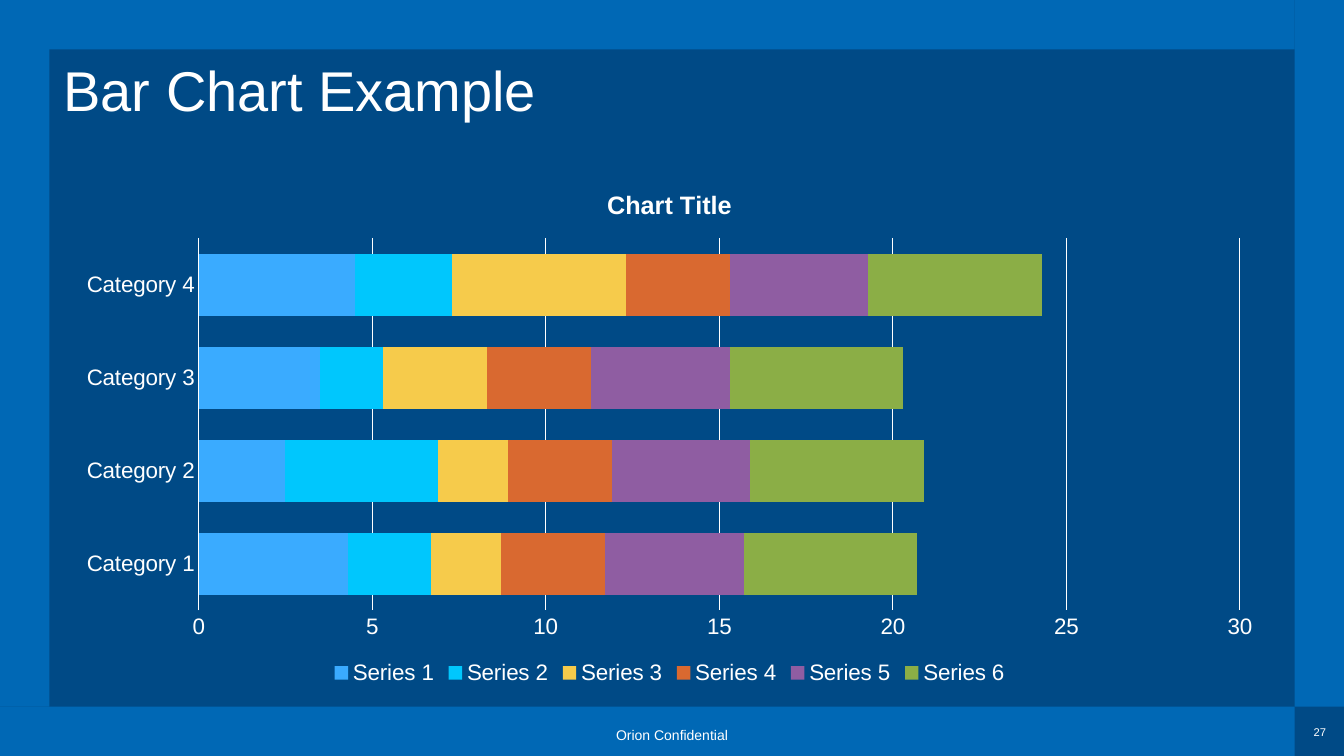
from pptx import Presentation
from pptx import util as u
from pptx.chart.data import CategoryChartData
from pptx.dml.color import RGBColor
from pptx.enum import chart as ch, shapes, text
from pptx.util import Inches

FONT, WHITE, NAVY, BLUE = "Arial", "FFFFFF", "004A86", "0068B5"
SLIDE_W, SLIDE_H, BAND = 13.33, 7.5, 0.49
CATEGORIES = [f"Category {n}" for n in range(1, 5)]
SERIES = [
    ("3AABFF", (4.3, 2.5, 3.5, 4.5)),
    ("00C7FD", (2.4, 4.4, 1.8, 2.8)),
    ("F6CB4B", (2, 2, 3, 5)),
    ("D96930", (3, 3, 3, 3)),
    ("8F5DA2", (4, 4, 4, 4)),
    ("8BAE46", (5, 5, 5, 5)),
]


def rgb(value):
    return RGBColor.from_string(value)


def style_font(font, size, bold=False):
    font.name, font.size, font.bold = FONT, u.Pt(size), bold
    font.color.rgb = rgb(WHITE)


def style_line(line):
    line.color.rgb = rgb(WHITE)
    line.width = u.Pt(0.75)


def add_text(s, box, content, size, align=text.PP_ALIGN.LEFT, spacing=1.0,
             anchor=text.MSO_ANCHOR.TOP):
    """Add a one-paragraph text box without insets."""
    tf = s.shapes.add_textbox(*map(Inches, box)).text_frame
    tf.word_wrap = True
    tf.vertical_anchor = anchor
    tf.margin_left = tf.margin_right = tf.margin_top = tf.margin_bottom = 0
    p = tf.paragraphs[0]
    p.alignment, p.line_spacing = align, spacing
    r = p.add_run()
    r.text = content
    style_font(r.font, size)


def add_frame(s, width, height):
    """Draw the four border bands, leaving the bottom right corner open."""
    right, bottom = width - BAND, height - BAND
    for box in ((0, bottom, right, BAND), (right, 0, BAND, bottom),
                (0, 0, right, BAND), (0, 0, BAND, bottom)):
        sp = s.shapes.add_shape(shapes.MSO_SHAPE.RECTANGLE, *map(Inches, box))
        sp.shadow.inherit = False
        sp.fill.solid()
        sp.fill.fore_color.rgb = rgb(BLUE)
        sp.line.fill.background()


def add_footer(s, width, top):
    center, middle = text.PP_ALIGN.CENTER, text.MSO_ANCHOR.MIDDLE
    add_text(s, (width / 2 - 1, top + 0.17, 2, 0.25), "Orion Confidential", 10,
             align=center, spacing=0.9, anchor=middle)
    add_text(s, (width - 0.34, top + 0.19, 0.2, 0.13), "27", 8, align=center)


def add_bar_chart(s, box):
    data = CategoryChartData()
    data.categories = CATEGORIES
    for n, (_, values) in enumerate(SERIES, 1):
        data.add_series(f"Series {n}", values)
    chart = s.shapes.add_chart(ch.XL_CHART_TYPE.BAR_STACKED,
                               *map(Inches, box), data).chart
    style_font(chart.font, 16)

    chart.has_title = True
    title = chart.chart_title
    title.include_in_layout = False
    p = title.text_frame.paragraphs[0]
    r = p.add_run()
    r.text = "Chart Title"
    style_font(r.font, 18, bold=True)

    chart.has_legend = True
    chart.legend.position = ch.XL_LEGEND_POSITION.BOTTOM
    chart.legend.include_in_layout = False
    style_font(chart.legend.font, 16)

    for axis in (chart.category_axis, chart.value_axis):
        axis.major_tick_mark = axis.minor_tick_mark = ch.XL_TICK_MARK.NONE
        style_font(axis.tick_labels.font, 16)
    style_line(chart.category_axis.format.line)
    values = chart.value_axis
    values.format.line.fill.background()
    values.minimum_scale, values.maximum_scale, values.major_unit = 0, 30, 5
    values.has_major_gridlines = True
    style_line(values.major_gridlines.format.line)

    plot = chart.plots[0]
    plot.vary_by_categories = False
    plot.gap_width, plot.overlap = 50, 100
    for series, (color, _) in zip(plot.series, SERIES):
        series.format.fill.solid()
        series.format.fill.fore_color.rgb = rgb(color)


def build_chart_slide(prs, box):
    left, top, width, height = box
    s = prs.slides.add_slide(prs.slide_layouts[6])
    s.background.fill.solid()
    s.background.fill.fore_color.rgb = rgb(NAVY)
    add_frame(s, left + width, top + height)
    add_footer(s, left + width, top + height - BAND)
    add_text(s, (left + 0.63, top + 0.63, width - 1.28, 0.96),
             "Bar Chart Example", 40, spacing=0.9)
    add_bar_chart(s, (left + 0.62, top + 1.67, width - 1.29, height - 2.33))


def main():
    prs = Presentation()
    prs.slide_width, prs.slide_height = Inches(SLIDE_W), Inches(SLIDE_H)
    build_chart_slide(prs, (0, 0, SLIDE_W, SLIDE_H))
    prs.save("out.pptx")


if __name__ == "__main__":
    main()
